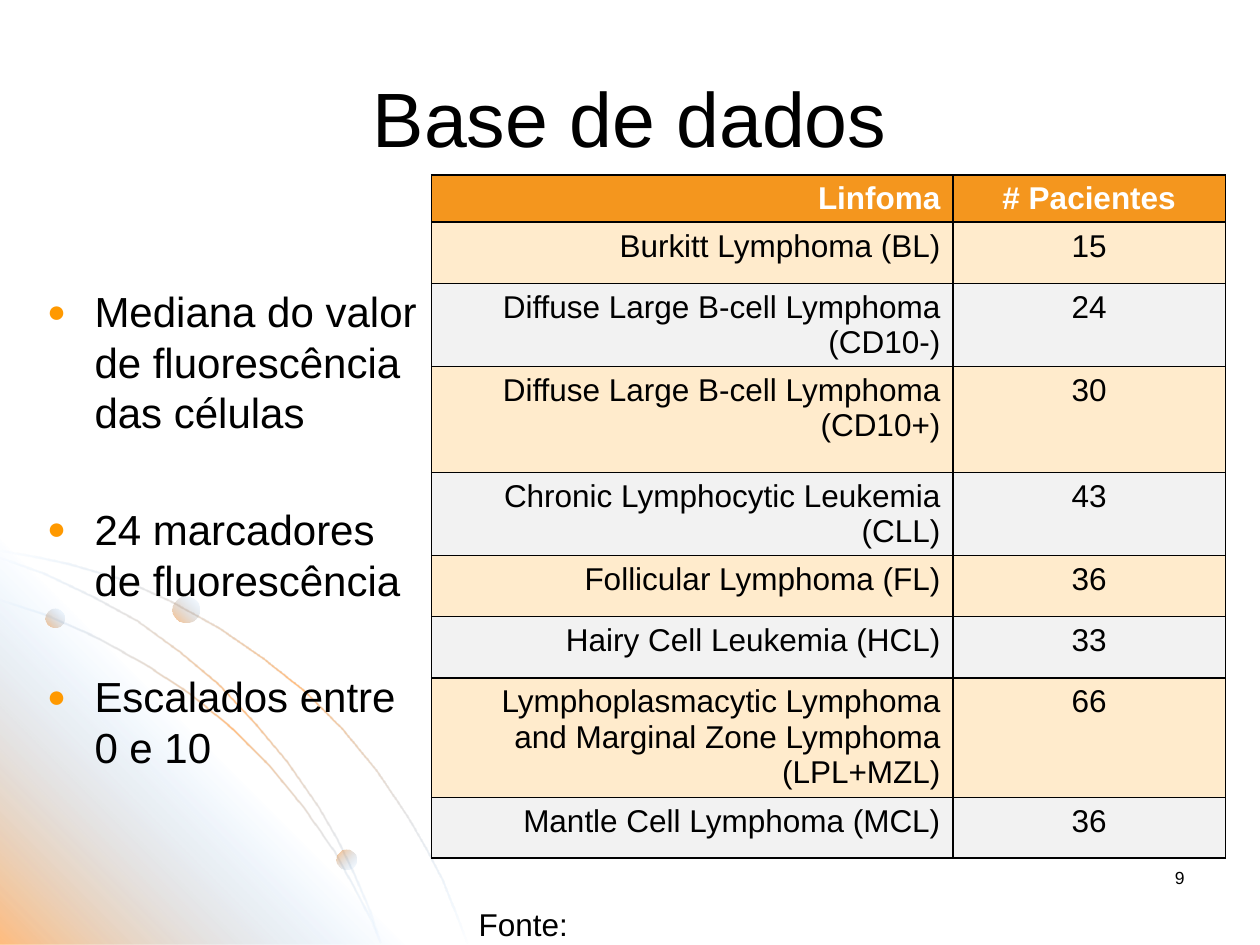
from lxml import etree
from pptx import Presentation
from pptx.dml.color import RGBColor
from pptx.enum.shapes import MSO_SHAPE
from pptx.enum.text import MSO_ANCHOR, PP_ALIGN
from pptx.oxml.ns import qn
from pptx.util import Pt

OVAL = MSO_SHAPE.OVAL
TOP, MIDDLE = MSO_ANCHOR.TOP, MSO_ANCHOR.MIDDLE
LEFT, CENTER, RIGHT = PP_ALIGN.LEFT, PP_ALIGN.CENTER, PP_ALIGN.RIGHT

BLACK = RGBColor(0x00, 0x00, 0x00)
WHITE = RGBColor(0xFF, 0xFF, 0xFF)
HEADER = RGBColor(0xF4, 0x96, 0x1E)
CREAM = RGBColor(0xFF, 0xEB, 0xCC)
GRAY = RGBColor(0xF2, 0xF2, 0xF2)
BULLET = RGBColor(0xFF, 0x99, 0x00)
ORANGE = RGBColor(0xFF, 0x7B, 0x00)
BLUE = RGBColor(0x33, 0x99, 0xFF)
FONT = "Arial"

GLOW = (ORANGE, 50)
CLEAR = (BLUE, 0)
RIBBON_WIDTH = 1.4

TRIANGLE = [(0, 307.4), (231.8, 539.5), (0, 539.5)]
RIBBONS = [
    [(0, 315.4), (20.2, 319), (40.3, 323.3), (69.8, 331.9), (97.2, 344.2),
     (124.6, 359.3), (149.8, 376.6), (173.5, 395.3), (195.1, 416.9),
     (214.6, 440.6), (232.6, 467.3), (242.6, 484.6), (252, 502.6),
     (259.2, 520.6), (266.4, 539.3)],
    [(0, 343.4), (28.1, 352.8), (55.4, 365), (82.8, 380.2), (108, 396.7),
     (131.8, 416.2), (153.4, 437.8), (172.8, 461.5), (190.8, 487.4),
     (205.2, 514.1), (211.7, 527), (216.7, 539.3)],
    [(0, 319.7), (25.9, 329), (53.3, 342), (78.5, 355.7), (102.2, 373),
     (124.6, 391.7), (145.4, 414), (163.4, 435.6), (181.4, 461.5),
     (192.2, 480.2), (201.6, 499.7), (210.2, 519.8), (216.7, 539.3)],
]
DOTS = [(25.9, 347.8, 10.8, 315), (192.2, 485.3, 11.5, 45), (98.6, 340.6, 15.1, 315)]

ROWS = [
    ("Linfoma", "# Pacientes", 27),
    ("Burkitt Lymphoma (BL)", "15", 35),
    ("Diffuse Large B-cell Lymphoma (CD10-)", "24", 47.5),
    ("Diffuse Large B-cell Lymphoma (CD10+)", "30", 60.5),
    ("Chronic Lymphocytic Leukemia (CLL)", "43", 47.5),
    ("Follicular Lymphoma (FL)", "36", 35),
    ("Hairy Cell Leukemia (HCL)", "33", 35),
    ("Lymphoplasmacytic Lymphoma and Marginal Zone Lymphoma (LPL+MZL)", "66", 68),
    ("Mantle Cell Lymphoma (MCL)", "36", 34.5),
]
BULLETS = [
    "Mediana do valor de fluorescência das células",
    "24 marcadores de fluorescência",
    "Escalados entre 0 e 10",
]


def add_color(parent, color):
    return etree.SubElement(parent, qn("a:srgbClr"), val=str(color))


def style_para(para, size, align=LEFT, color=BLACK, bold=False):
    para.alignment = align
    for span in para.runs:
        span.font.name = FONT
        span.font.size = Pt(size)
        span.font.bold = bold
        span.font.color.rgb = color


def fade(shape, stops, angle):
    shape.shadow.inherit = False
    shape.line.fill.background()
    shape.fill.gradient()
    shape.fill.gradient_angle = 360 - angle
    stop_list = shape.element.spPr.find(qn("a:gradFill")).find(qn("a:gsLst"))
    for stop in list(stop_list):
        stop_list.remove(stop)
    for index, (color, opacity) in enumerate(stops):
        position = index * 100000 // (len(stops) - 1)
        stop = etree.SubElement(stop_list, qn("a:gs"), pos=str(position))
        etree.SubElement(add_color(stop, color), qn("a:alpha"), val=str(opacity * 1000))


def add_outline(page, points, stops, angle):
    scaled = [(Pt(x), Pt(y)) for x, y in points]
    builder = page.shapes.build_freeform(*scaled[0])
    builder.add_line_segments(scaled[1:], close=True)
    fade(builder.convert_to_shape(), stops, angle)


def ribbon_outline(edge):
    last = len(edge) - 1
    far_edge = [(x + RIBBON_WIDTH * i / last, y - RIBBON_WIDTH * (1 - i / last))
                for i, (x, y) in enumerate(edge)]
    return edge + far_edge[::-1]


def add_decoration(page):
    first, *others = RIBBONS
    add_outline(page, ribbon_outline(first), [CLEAR, GLOW, CLEAR], 45)
    add_outline(page, TRIANGLE, [GLOW, CLEAR, GLOW], 315)
    for edge in others:
        add_outline(page, ribbon_outline(edge), [CLEAR, GLOW, CLEAR], 45)
    for left, top, size, angle in DOTS:
        dot = page.shapes.add_shape(OVAL, Pt(left), Pt(top), Pt(size), Pt(size))
        fade(dot, [GLOW, CLEAR], angle)


def add_label(page, box, text, size, align=LEFT, anchor=TOP, wrap=True):
    frame = page.shapes.add_textbox(*map(Pt, box)).text_frame
    frame.word_wrap = wrap
    frame.vertical_anchor = anchor
    frame.text = text
    style_para(frame.paragraphs[0], size, align)


def add_bullets(page, box):
    frame = page.shapes.add_textbox(*map(Pt, box)).text_frame
    frame.word_wrap = True
    frame.margin_top = Pt(37.4)
    frame.text = "\n".join(BULLETS)
    for index, para in enumerate(frame.paragraphs):
        style_para(para, 24)
        para.line_spacing = Pt(28.8)
        para.space_before = Pt(38 if index else 0)
        properties = para._p.get_or_add_pPr()
        properties.set("marL", str(Pt(27)))
        properties.set("indent", str(-Pt(27)))
        add_color(etree.SubElement(properties, qn("a:buClr")), BULLET)
        etree.SubElement(properties, qn("a:buSzPct"), val="75000")
        etree.SubElement(properties, qn("a:buFont"), typeface=FONT)
        etree.SubElement(properties, qn("a:buChar"), char="●")


def add_borders(cell):
    properties = cell._tc.get_or_add_tcPr()
    for index, side in enumerate(("lnL", "lnR", "lnT", "lnB")):
        line = etree.Element(qn(f"a:{side}"), w=str(Pt(1)))
        add_color(etree.SubElement(line, qn("a:solidFill")), BLACK)
        properties.insert(index, line)


def add_patients_table(page, box):
    table = page.shapes.add_table(len(ROWS), 2, *map(Pt, box)).table
    for column, width in zip(table.columns, (298, 155.6)):
        column.width = Pt(width)
    for index, (name, count, height) in enumerate(ROWS):
        table.rows[index].height = Pt(height)
        is_header = index == 0
        fill = HEADER if is_header else (GRAY, CREAM)[index % 2]
        color = WHITE if is_header else BLACK
        for column, (text, align) in enumerate(((name, RIGHT), (count, CENTER))):
            cell = table.cell(index, column)
            cell.margin_bottom = Pt(0)
            cell.text_frame.text = text
            style_para(cell.text_frame.paragraphs[0], 18, align, color, is_header)
            cell.fill.solid()
            cell.fill.fore_color.rgb = fill
            add_borders(cell)


def main():
    deck = Presentation()
    deck.slide_width, deck.slide_height = Pt(720), Pt(540)
    page = deck.slides.add_slide(deck.slide_layouts[6])
    add_decoration(page)
    add_label(page, (36, 21.6, 648, 90), "Base de dados", 44, CENTER, MIDDLE)
    add_patients_table(page, (246.6, 100, 453.6, 390))
    add_bullets(page, (19.9, 126, 226.8, 356.4))
    add_label(page, (266.4, 513.8, 71.3, 28.8), "Fonte:", 18, wrap=False)
    add_label(page, (516.2, 491.8, 167.8, 36), "9", 10, RIGHT)
    deck.save("out.pptx")


if __name__ == "__main__":
    main()
